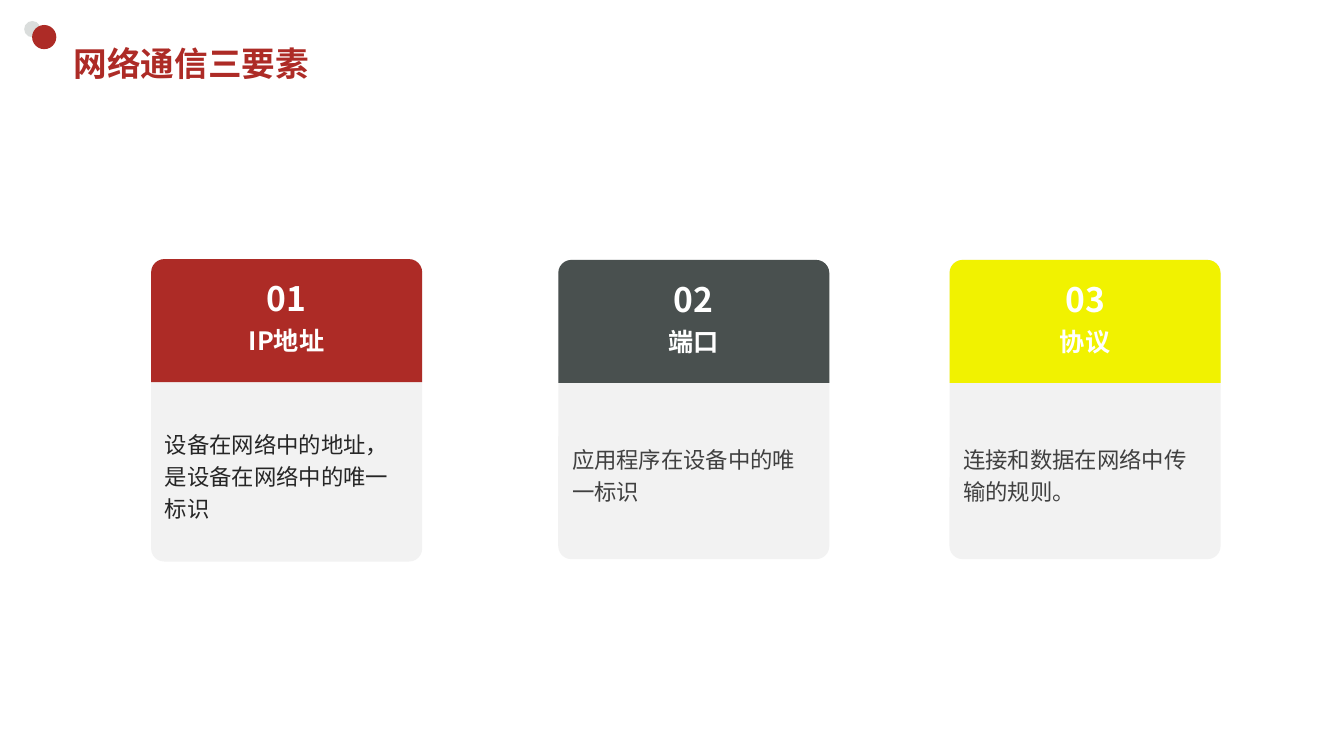
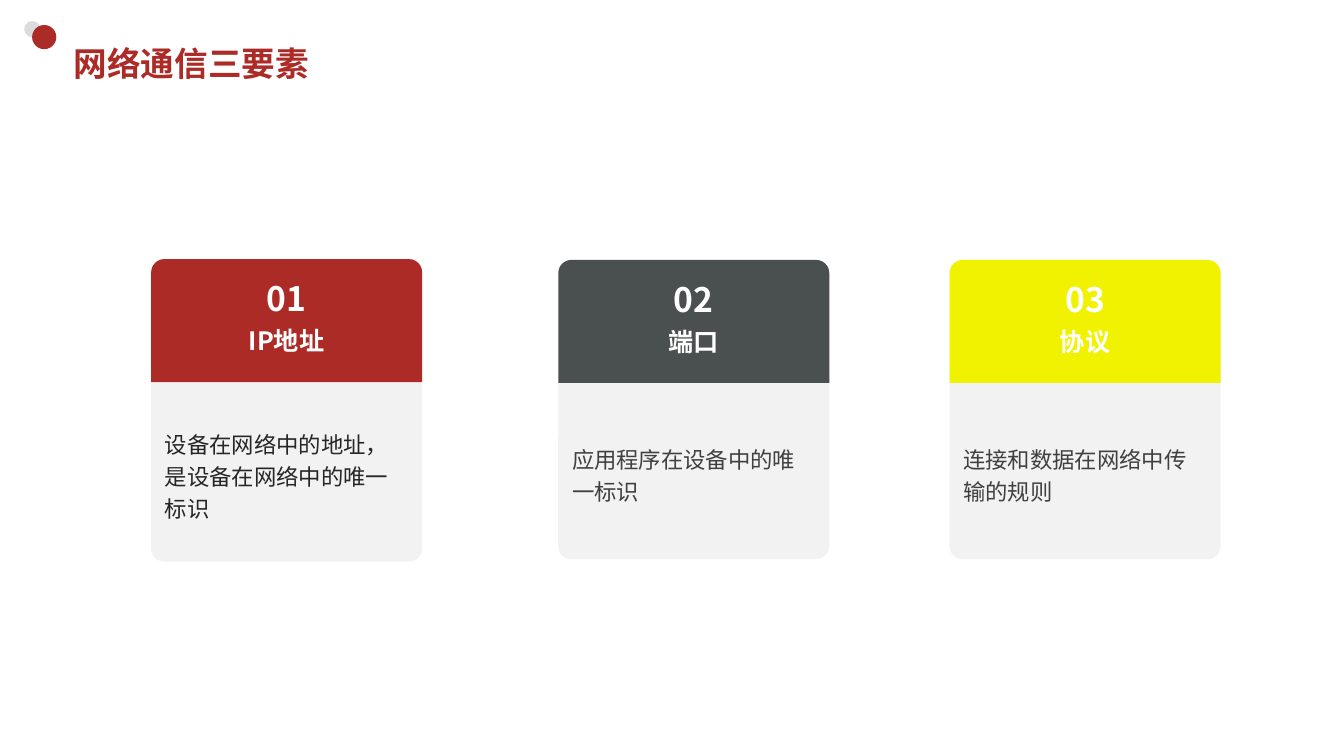
from lxml import etree
from pptx import Presentation
from pptx import util as u
from pptx.dml.color import RGBColor
from pptx.enum import lang, shapes, text
from pptx.oxml.ns import qn

COLORS = {
    "red": "AD2B26",
    "slate": "49504F",
    "yellow": "F1F200",
    "panel": "F2F2F2",
    "dot": "DADDDC",
    "white": "FFFFFF",
    "dark": "262626",
    "gray": "404040",
}
FONT = "Noto Sans CJK JP"
TITLE_FONT = "Courier New"
TITLE = "网络通信三要素"
CARD_W = 6.83
HEADER_H = 3.1
SHAPE = shapes.MSO_SHAPE
ALIGN = text.PP_ALIGN

CARDS = [
    ((3.81, 6.53, CARD_W, 7.62), "01", "IP地址", "red", "dark"),
    ((14.07, 6.55, CARD_W, 7.54), "02", "端口", "slate", "gray"),
    ((23.93, 6.55, CARD_W, 7.54), "03", "协议", "yellow", "gray"),
]
ADDRESS = "设备在网络中的地址，是设备在网络中的唯一标识"
PORT = "应用程序在设备中的唯一标识"
PROTOCOL = "连接和数据在网络中传输的规则"
SLIDES = [(ADDRESS, PORT, PROTOCOL + "。"), (ADDRESS, PORT, PROTOCOL)]


def add_block(parent, kind, box, color, adjustments=()):
    """Add a filled preset shape without line or shadow."""
    sp = parent.add_shape(kind, *map(u.Cm, box))
    sp.shadow.inherit = False
    sp.fill.solid()
    sp.fill.fore_color.rgb = RGBColor.from_string(COLORS[color])
    sp.line.fill.background()
    for i, value in enumerate(adjustments):
        sp.adjustments[i] = value
    return sp


def write(sp, words, size, color, align=ALIGN.CENTER, bold=True, font=FONT,
          margins=(0.25, 0, 0.25, 0)):
    """Write one vertically centred paragraph; margins are left, top, right, bottom."""
    tf = sp.text_frame
    tf.word_wrap = True
    tf.vertical_anchor = text.MSO_ANCHOR.MIDDLE
    (tf.margin_left, tf.margin_top,
     tf.margin_right, tf.margin_bottom) = map(u.Cm, margins)
    tf.text = words
    p = tf.paragraphs[0]
    p.alignment = align
    r = p.runs[0]
    r.font.name = font
    r.font.size = u.Pt(size)
    r.font.bold = bold
    r.font.color.rgb = RGBColor.from_string(COLORS[color])
    r.font.language_id = lang.MSO_LANGUAGE_ID.SIMPLIFIED_CHINESE
    ea = etree.SubElement(r.font._element, qn("a:ea"))
    ea.set("typeface", FONT)
    return p


def add_heading(s, box):
    """Place the two dots and the slide title in the heading box."""
    x, y, w, h = box
    add_block(s.shapes, SHAPE.OVAL, (x, y, 0.41, 0.41), "dot")
    add_block(s.shapes, SHAPE.OVAL, (x + 0.2, y + 0.1, 0.61, 0.61), "red")
    title_box = (x + 1, y + 0.4, w - 1, h - 0.4)
    sp = s.shapes.add_textbox(*map(u.Cm, title_box))
    write(sp, TITLE, 24, "red", ALIGN.LEFT, font=TITLE_FONT)


def add_card(s, box, number, label, color, body, body_color):
    """Place a numbered card with a coloured header and a description."""
    x, y, w, h = box
    card = s.shapes.add_group_shape().shapes
    panel = add_block(card, SHAPE.ROUNDED_RECTANGLE, box, "panel", (0.048,))
    p = write(panel, body, 16, body_color, ALIGN.LEFT, bold=False,
              margins=(0.25, HEADER_H + 0.1, 0.25, 0))
    p.line_spacing = u.Pt(23)
    header = add_block(card, SHAPE.ROUND_2_SAME_RECTANGLE,
                       (x, y, w, HEADER_H), color, (0.107, 0))
    write(header, label, 18, "white", margins=(0.25, 0.9, 0.25, 0))
    number_w = 3.81
    number_box = (x + (w - number_w) / 2, y + 0.4, number_w, 1.17)
    sp = card.add_textbox(*map(u.Cm, number_box))
    write(sp, number, 24, "white", margins=(0, 0, 0, 0))


def build_slide(prs, bodies):
    """Add one slide with the heading and three cards."""
    s = prs.slides.add_slide(prs.slide_layouts[6])
    add_heading(s, (0.61, 0.53, 30.85, 1.73))
    for (box, number, label, color, body_color), body in zip(CARDS, bodies):
        add_card(s, box, number, label, color, body, body_color)


def main():
    """Build and save the presentation."""
    prs = Presentation()
    prs.slide_width, prs.slide_height = u.Cm(33.87), u.Cm(19.05)
    for bodies in SLIDES:
        build_slide(prs, bodies)
    prs.save("out.pptx")


if __name__ == "__main__":
    main()
